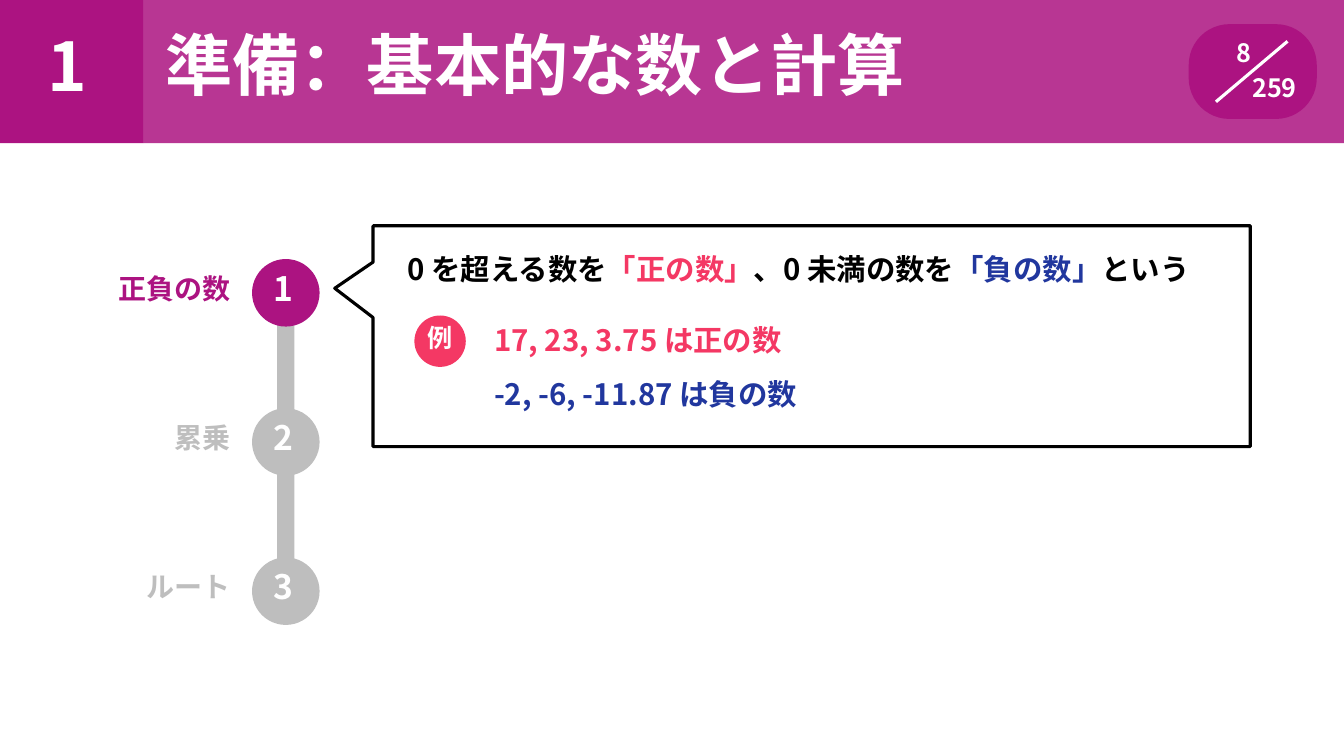
from dataclasses import dataclass
from pptx import Presentation
from pptx.dml.color import RGBColor
from pptx.enum.shapes import MSO_CONNECTOR, MSO_SHAPE as SHAPE
from pptx.enum.text import MSO_ANCHOR as ANCHOR, PP_ALIGN as ALIGN
from pptx.oxml.ns import qn
from pptx.util import Inches, Pt
from lxml.etree import SubElement

FONT = "Noto Sans CJK JP"
PURPLE = RGBColor(0xAC, 0x13, 0x81)
GRAY = RGBColor(0xBE, 0xBE, 0xBE)
RED = RGBColor(0xF4, 0x38, 0x64)
BLUE = RGBColor(0x21, 0x37, 0x9E)
BLACK = RGBColor(0, 0, 0)
WHITE = RGBColor(0xFF, 0xFF, 0xFF)


@dataclass
class Step:
    number: str
    label: str
    color: RGBColor


@dataclass
class Span:
    text: str
    color: RGBColor


STEPS = [
    Step("1", "正負の数", PURPLE),
    Step("2", "累乗", GRAY),
    Step("3", "ルート", GRAY),
]
DEFINITION = [
    Span("0 を超える数を", BLACK),
    Span("「正の数」", RED),
    Span("、0 未満の数を", BLACK),
    Span("「負の数」", BLUE),
    Span("という", BLACK),
]
EXAMPLES = [
    Span("17, 23, 3.75 は正の数", RED),
    Span("-2, -6, -11.87 は負の数", BLUE),
]
CALLOUT = [(3.7, 2.24), (12.4, 2.24), (12.4, 4.43), (3.7, 4.43),
           (3.7, 3.15), (3.32, 2.86), (3.7, 2.6)]


def add_run(p, text: str, size: float, color: RGBColor) -> None:
    r = p.add_run()
    r.text = text
    r.font.name = FONT
    r.font.size = Pt(size)
    r.font.bold = True
    r.font.color.rgb = color
    SubElement(r.font._element, qn("a:ea")).set("typeface", FONT)


def set_frame(tf, top: float = 0.01, bottom: float = 0, right: float = 0) -> None:
    tf.margin_left = 0
    tf.margin_right = Inches(right)
    tf.margin_top = Inches(top)
    tf.margin_bottom = Inches(bottom)
    tf.word_wrap = True


def add_block(slide, kind, x: float, y: float, w: float, h: float, color: RGBColor):
    sp = slide.shapes.add_shape(kind, Inches(x), Inches(y), Inches(w), Inches(h))
    sp.shadow.inherit = False
    sp.fill.solid()
    sp.fill.fore_color.rgb = color
    sp.line.fill.background()
    return sp


def add_caption(sp, text: str, size: float, lift: float, right: float = 0.04) -> None:
    tf = sp.text_frame
    set_frame(tf, 0, lift, right)
    tf.word_wrap = False
    tf.vertical_anchor = ANCHOR.MIDDLE
    p = tf.paragraphs[0]
    p.alignment = ALIGN.CENTER
    add_run(p, text, size, WHITE)


def add_text(slide, x: float, y: float, w: float, h: float, top: float = 0.01):
    sp = slide.shapes.add_textbox(Inches(x), Inches(y), Inches(w), Inches(h))
    set_frame(sp.text_frame, top)
    return sp.text_frame


def add_header(slide) -> None:
    band = add_block(slide, SHAPE.RECTANGLE, 1.42, 0, 11.91, 1.42, PURPLE)
    color = band.fill._xPr.find(qn("a:solidFill"))[0]
    SubElement(color, qn("a:alpha")).set("val", "85000")
    chapter = add_block(slide, SHAPE.RECTANGLE, 0, 0, 1.42, 1.42, PURPLE)
    add_caption(chapter, "1", 48, 0.14, 0.08)

    title = slide.shapes.title
    title.left, title.top = Inches(1.64), Inches(0.22)
    title.width, title.height = Inches(7.6), Inches(0.83)
    tf = title.text_frame
    set_frame(tf)
    tf.vertical_anchor = ANCHOR.TOP
    p = tf.paragraphs[0]
    p.alignment = ALIGN.LEFT
    add_run(p, "準備：基本的な数と計算", 48, WHITE)
    slide.shapes._spTree.append(title._element)


def add_page_badge(slide) -> None:
    badge = add_block(slide, SHAPE.ROUNDED_RECTANGLE, 11.79, 0.24, 1.27, 0.94, PURPLE)
    badge.adjustments[0] = 0.43
    slash = slide.shapes.add_connector(
        MSO_CONNECTOR.STRAIGHT, Inches(12.06), Inches(1.01), Inches(12.77), Inches(0.41))
    slash.line.color.rgb = WHITE
    slash.line.width = Pt(2.25)
    SubElement(slash._element.spPr, qn("a:effectLst"))
    tf = add_text(slide, 12.26, 0.31, 0.69, 0.72, 0.06)
    add_run(tf.paragraphs[0], "8", 18, WHITE)
    p = tf.add_paragraph()
    p.space_before = Pt(3.3)
    p._p.get_or_add_pPr().set("marL", str(Inches(0.16)))
    add_run(p, "259", 18, WHITE)


def add_steps(slide) -> None:
    top, gap, size = 2.57, 1.48, 0.67
    add_block(slide, SHAPE.RECTANGLE, 2.75, 2.9, 0.17, 2 * gap, GRAY)
    for i, step in enumerate(STEPS):
        y = top + i * gap
        circle = add_block(slide, SHAPE.OVAL, 2.5, y, size, size, step.color)
        add_caption(circle, step.number, 24, 0.1)
        p = add_text(slide, 0.9, y + 0.11, 1.39, 0.36).paragraphs[0]
        p.alignment = ALIGN.RIGHT
        add_run(p, step.label, 20, step.color)


def add_callout(slide) -> None:
    points = [(Inches(x), Inches(y)) for x, y in CALLOUT]
    builder = slide.shapes.build_freeform(*points[0])
    builder.add_line_segments(points[1:], close=True)
    sp = builder.convert_to_shape()
    sp.shadow.inherit = False
    sp.fill.background()
    sp.line.color.rgb = BLACK
    sp.line.width = Pt(2.25)

    p = add_text(slide, 4.04, 2.48, 7.9, 0.38).paragraphs[0]
    for span in DEFINITION:
        add_run(p, span.text, 21, span.color)
    badge = add_block(slide, SHAPE.OVAL, 4.11, 3.13, 0.51, 0.51, RED)
    add_caption(badge, "例", 18, 0.08, 0)
    tf = add_text(slide, 4.9, 3, 3.39, 1.09, 0.2)
    for i, span in enumerate(EXAMPLES):
        p = tf.add_paragraph() if i else tf.paragraphs[0]
        if i:
            p.space_before = Pt(13.1)
        add_run(p, span.text, 21, span.color)


def main() -> None:
    prs = Presentation()
    prs.slide_width, prs.slide_height = Inches(13.33), Inches(7.5)
    slide = prs.slides.add_slide(prs.slide_layouts[5])
    add_header(slide)
    add_page_badge(slide)
    add_steps(slide)
    add_callout(slide)
    prs.save("out.pptx")


if __name__ == "__main__":
    main()
